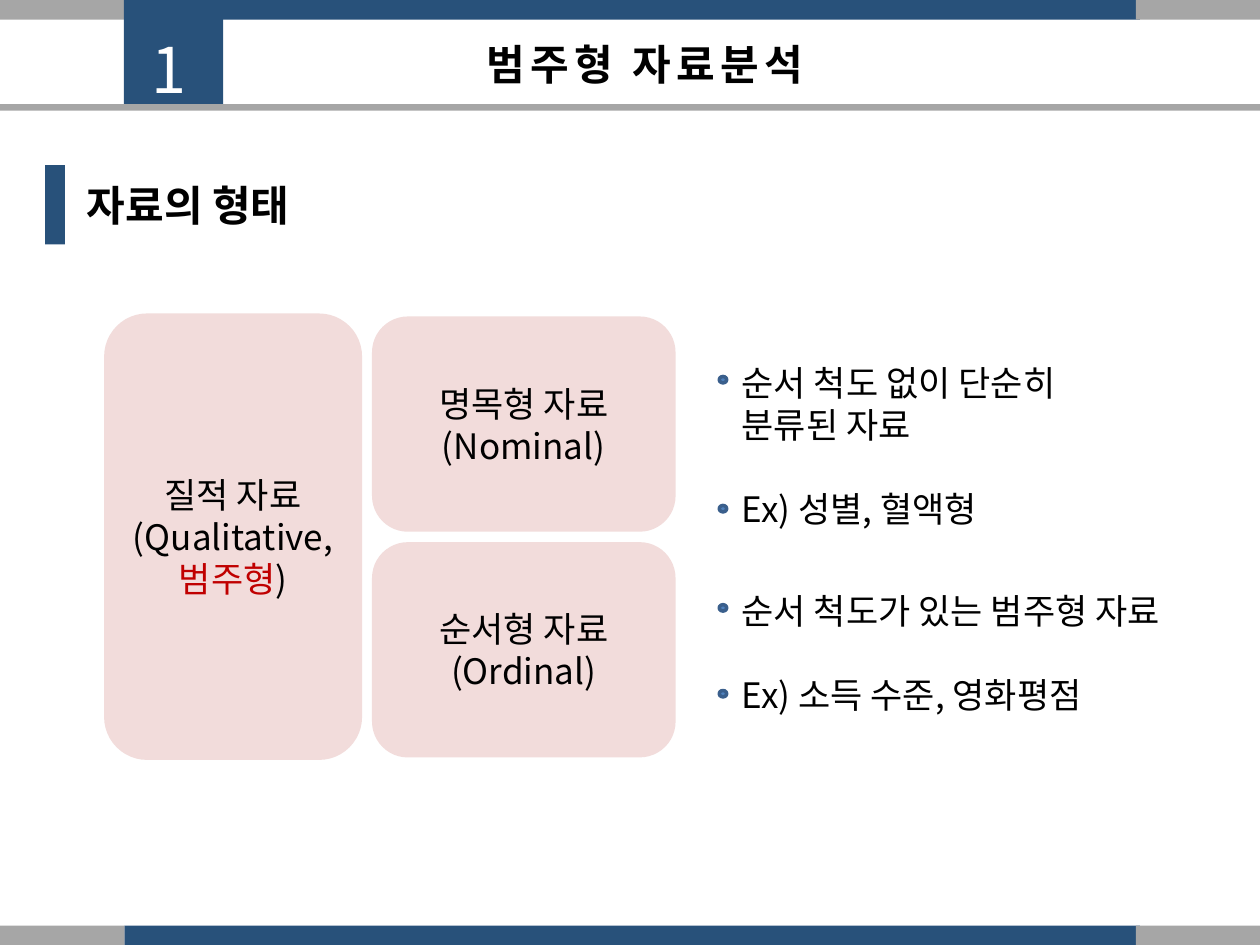
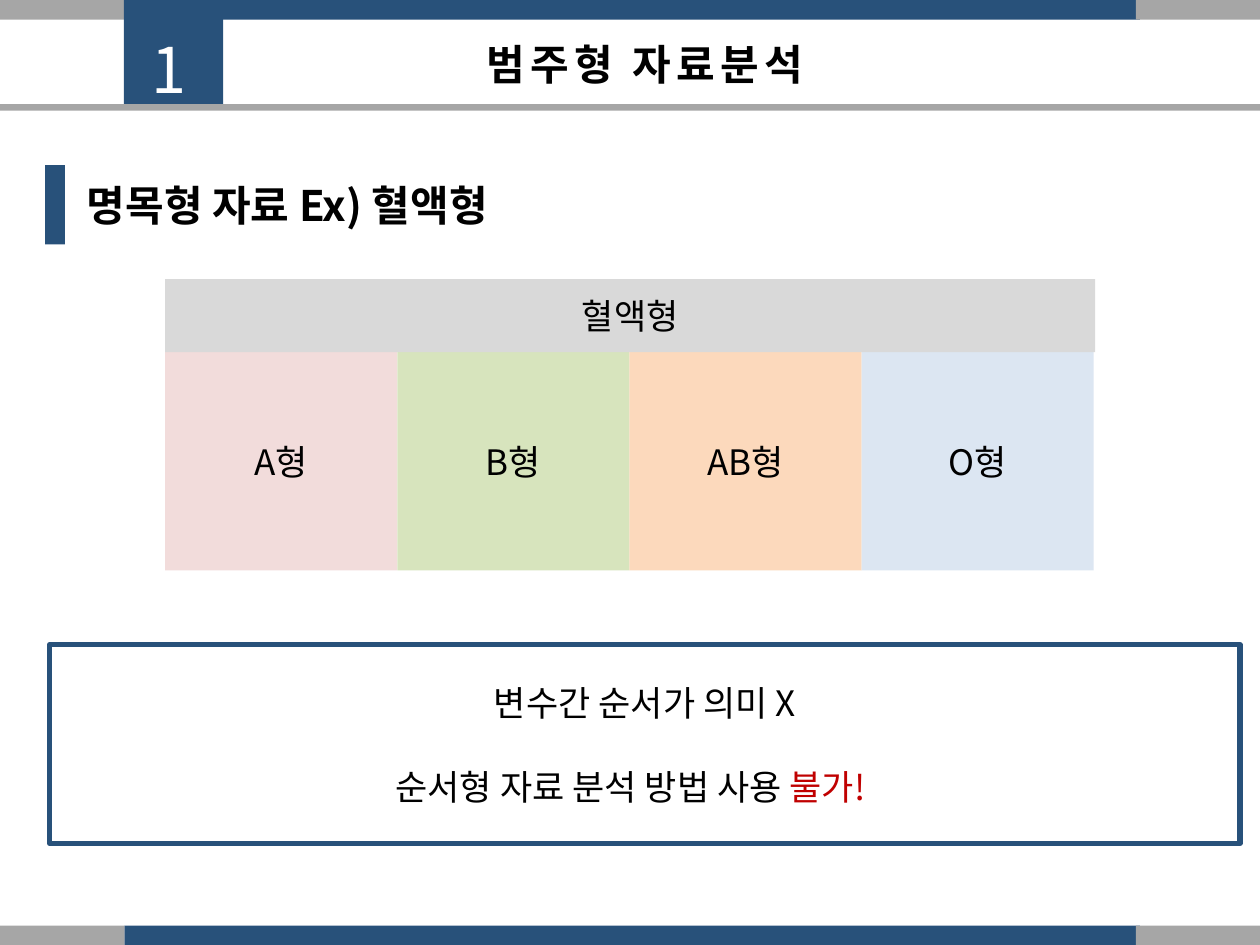
from lxml import etree
from pptx import Presentation
from pptx.dml.color import RGBColor
from pptx.enum.shapes import MSO_SHAPE
from pptx.enum.text import MSO_ANCHOR, PP_ALIGN
from pptx.oxml.ns import qn
from pptx.util import Cm, Pt

RECT, ROUNDED, DOT = MSO_SHAPE.RECTANGLE, MSO_SHAPE.ROUNDED_RECTANGLE, MSO_SHAPE.FLOWCHART_CONNECTOR
LEFT, CENTER = PP_ALIGN.LEFT, PP_ALIGN.CENTER
TOP, MIDDLE = MSO_ANCHOR.TOP, MSO_ANCHOR.MIDDLE

FONT = "Noto Sans CJK KR"
NAVY, GREY, PINK, RED = "28517A", "A6A6A6", "F2DCDB", "C00000"
BLACK, WHITE = "000000", "FFFFFF"
hex_colour = RGBColor.from_string


def block(slide, kind, box, fill):
    """Add a filled preset shape without outline; box is in centimetres."""
    shape = slide.shapes.add_shape(kind, *map(Cm, box))
    shape.shadow.inherit = False
    shape.fill.solid()
    shape.fill.fore_color.rgb = hex_colour(fill)
    shape.line.fill.background()
    return shape


def write(shape, paragraphs, size=20, color=BLACK, bold=False, align=CENTER,
          anchor=MIDDLE, spacing=0, gap=0):
    """Fill a shape with paragraphs; a paragraph is a text or a list of (text, colour)."""
    frame = shape.text_frame
    frame.word_wrap = True
    frame.vertical_anchor = anchor
    for index, content in enumerate(paragraphs):
        paragraph = frame.add_paragraph() if index else frame.paragraphs[0]
        paragraph.alignment = align
        paragraph.line_spacing = Pt(size * 1.2)
        paragraph.space_before = Pt(gap if index else 0)
        parts = [(content, color)] if isinstance(content, str) else content
        for text, part_color in parts:
            run = paragraph.add_run()
            run.text = text
            run.font.size = Pt(size)
            run.font.bold = bold
            run.font.name = FONT
            run.font.color.rgb = hex_colour(part_color)
            properties = run.font._element
            etree.SubElement(properties, qn("a:ea")).set("typeface", FONT)
            if spacing:
                properties.set("spc", str(spacing * 100))


deck = Presentation()
deck.slide_width, deck.slide_height = Cm(25.4), Cm(19.05)
blank = deck.slide_layouts[6]

# Shared frame: bands, chapter number, title and section heading
slides = []
for heading in ("자료의 형태", "명목형 자료 Ex) 혈액형"):
    slide = deck.slides.add_slide(blank)
    slides.append(slide)
    for band_top in (0, 18.66):
        for left, width, color in ((2.51, 20.47, NAVY), (0, 2.51, GREY), (22.9, 2.5, GREY)):
            block(slide, RECT, (left, band_top, width, 0.4), color)
    block(slide, RECT, (2.5, 0, 2, 2.1), NAVY)
    title = slide.shapes.add_textbox(Cm(7.7), Cm(0.65), Cm(10.6), Cm(2.3))
    write(title, ["범주형 자료분석"], size=24, bold=True, anchor=TOP, spacing=3)
    block(slide, RECT, (0, 2.1, 25.4, 0.13), GREY)
    chapter = slide.shapes.add_textbox(Cm(2.31), Cm(0.49), Cm(2.2), Cm(1.8))
    write(chapter, ["1"], size=36, color=WHITE, anchor=TOP, spacing=3)
    block(slide, RECT, (0.91, 3.33, 0.4, 1.6), NAVY)
    section = slide.shapes.add_textbox(Cm(1.5), Cm(3.33), Cm(9.4), Cm(1.6))
    write(section, [heading], size=24, bold=True, align=LEFT)

types_slide, blood_slide = slides

# Slide 1: qualitative data and its two kinds
qualitative = block(types_slide, ROUNDED, (2.1, 6.32, 5.2, 9), PINK)
write(qualitative, ["질적 자료", [("(Qualitative, ", BLACK), ("범주형", RED), (")", BLACK)]])

kinds = (
    (6.38, ["명목형 자료", "(Nominal)"], 7.16, 8.36,
     ["순서 척도 없이 단순히 분류된 자료", "Ex) 성별, 혈액형"], (7.59, 10.19)),
    (10.93, ["순서형 자료", "(Ordinal)"], 11.76, 10.2,
     ["순서 척도가 있는 범주형 자료", "Ex) 소득 수준, 영화평점"], (12.19, 13.92)),
)
for kind_top, label, notes_top, notes_width, notes, dot_tops in kinds:
    write(block(types_slide, ROUNDED, (7.5, kind_top, 6.12, 4.34), PINK), label)
    explanation = types_slide.shapes.add_textbox(Cm(14.7), Cm(notes_top), Cm(notes_width), Cm(3))
    write(explanation, notes, align=LEFT, anchor=TOP, gap=24)
    for dot_top in dot_tops:
        dot = block(types_slide, DOT, (14.5, dot_top, 0.15, 0.13), "4F81BD")
        dot.line.color.rgb = hex_colour("3A5F8C")
        dot.line.width = Pt(2)

# Slide 2: blood types under one header
blood_types = (("A형", PINK), ("B형", "D7E4BD"), ("AB형", "FCD5B5"), ("O형", "DCE6F2"))
for column, (blood_type, color) in enumerate(blood_types):
    cell = block(blood_slide, RECT, (3.33 + column * 4.68, 7.1, 4.68, 4.4), color)
    write(cell, [blood_type])
    if blood_type == "AB형":
        tint = cell.fill._xPr.find(".//" + qn("a:srgbClr"))
        etree.SubElement(tint, qn("a:alpha")).set("val", "90000")
write(block(blood_slide, RECT, (3.33, 5.63, 18.75, 1.47), "D9D9D9"), ["혈액형"])

# Hand-drawn frame: each side is split evenly and wobbles by small steps
left, top, width, height, step = 0.84, 12.93, 23.72, 4.3, 0.02
top_wobble = (0, 0, -1, 1, 1, -3, 0, 0, 0, -2, 0, 0, -1, -3, 1, -1, 0, 0, -2, -3, 1, -1, 1, 2, 0)
right_wobble = (0, -2, 1, 0, -1, 0, 1, 0)
bottom_wobble = (0, 0, 0, -1, 0, 1, 0, -1, 1, 0, 0, 1, 0, 1, -2, 0, 0, 1, -1, 1, 0, 0, 1, 2, 0)
left_wobble = (0, 1, 0, -1, -2, -1, 1, -1, 0)
sides = (
    (left, top, width, 0, top_wobble),
    (left + width, top, 0, height, right_wobble),
    (left + width, top + height, -width, 0, bottom_wobble),
    (left, top + height, 0, -height, left_wobble),
)
outline = []
for x, y, run_x, run_y, wobble in sides:
    for index, offset in enumerate(wobble):
        share = index / (len(wobble) - 1)
        outline.append((x + run_x * share + (offset * step if run_y else 0),
                        y + run_y * share + (offset * step if run_x else 0)))
sketch = blood_slide.shapes.build_freeform(*outline[0], scale=Cm(1))
sketch.add_line_segments(outline[1:], close=True)
conclusion = sketch.convert_to_shape()
conclusion.shadow.inherit = False
conclusion.fill.background()
conclusion.line.color.rgb = hex_colour(NAVY)
conclusion.line.width = Pt(3)
conclusion.text_frame.margin_bottom = Cm(1.8)
write(conclusion, ["변수간 순서가 의미 X"])

warning = blood_slide.shapes.add_textbox(Cm(6.86), Cm(15.31), Cm(11.7), Cm(1.1))
write(warning, [[("순서형 자료 분석 방법 사용 ", BLACK), ("불가!", RED)]], anchor=TOP)

deck.save("out.pptx")
